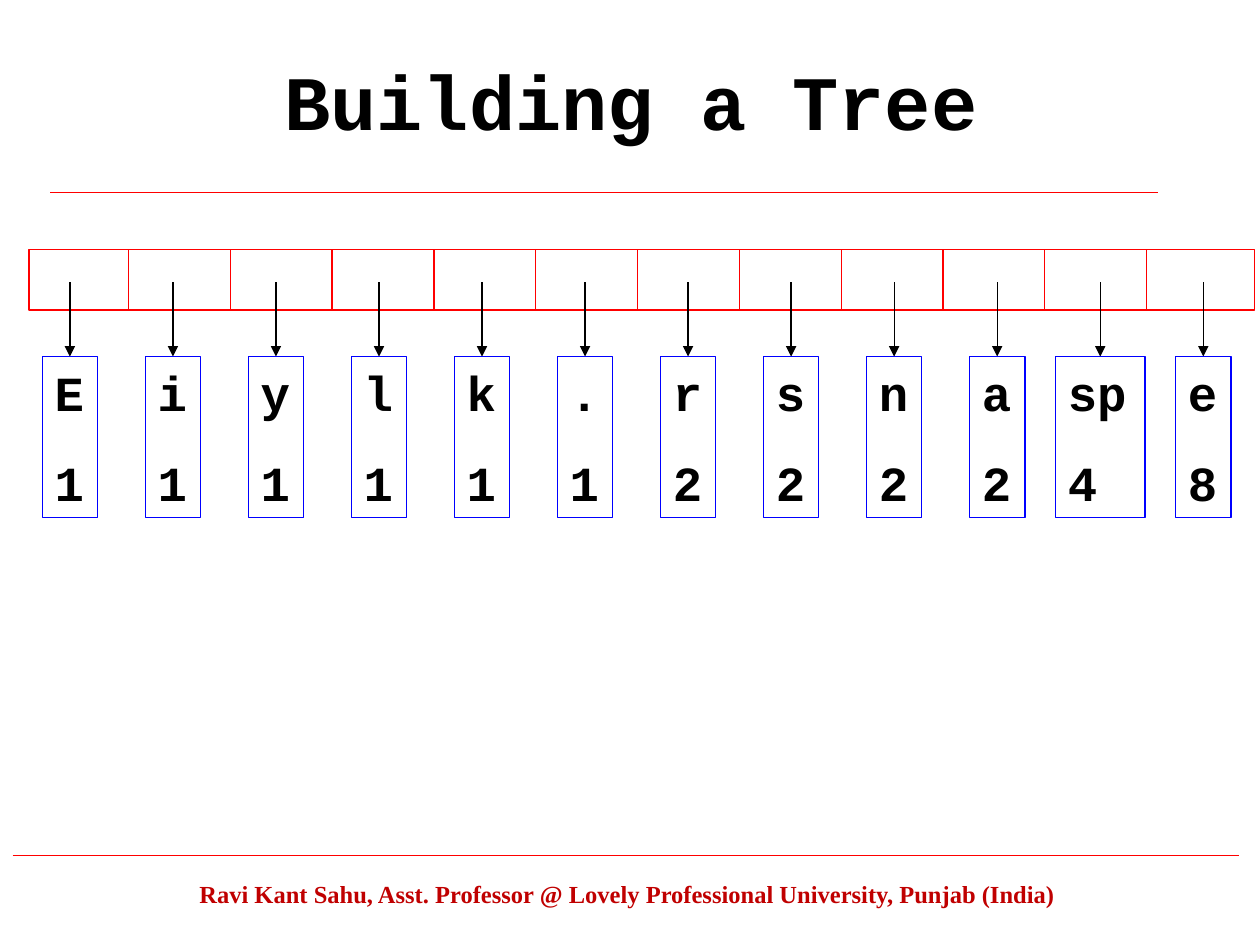
"""Build a slide showing a queue of leaf nodes ready for building a tree."""
from dataclasses import dataclass

from lxml import etree
from pptx import Presentation
from pptx import util as u
from pptx.dml.color import RGBColor
from pptx.enum import shapes, text
from pptx.oxml.ns import qn

COLORS = {"rule": "FF0000", "node": "0000FF", "ink": "000000",
          "paper": "FFFFFF", "footer": "C00000"}
COLUMNS, ROWS = 100, 75
CODE_FONT, FOOTER_FONT = "Courier New", "Times New Roman"
FIRST_NODE, LAST_NODE = 5.55, 95.5
FIRST_DIVIDER, LAST_DIVIDER = 10.2, 91
QUEUE_TOP, QUEUE_HEIGHT = 19.8, 4.8
ARROW_TOP, NODE_TOP, NODE_HEIGHT = 22.4, 28.3, 12.8

deck = Presentation()
deck.slide_width, deck.slide_height = u.Inches(10), u.Inches(7.5)
page = deck.slides.add_slide(deck.slide_layouts[5])


@dataclass(frozen=True)
class Area:
    left: float
    top: float
    width: float
    height: float

    def lengths(self) -> tuple[int, ...]:
        return (across(self.left), down(self.top),
                across(self.width), down(self.height))


@dataclass(frozen=True)
class Node:
    symbol: str
    count: int
    width: float = 4.4


NODES = [Node("E", 1), Node("i", 1), Node("y", 1), Node("l", 1),
         Node("k", 1), Node(".", 1), Node("r", 2), Node("s", 2),
         Node("n", 2), Node("a", 2), Node("sp", 4, 7.1), Node("e", 8)]


def across(columns: float) -> int:
    return round(deck.slide_width * columns / COLUMNS)


def down(rows: float) -> int:
    return round(deck.slide_height * rows / ROWS)


def spread(first: float, last: float, count: int) -> list[float]:
    return [first + (last - first) * i / (count - 1) for i in range(count)]


def write(box, lines: list[str], *, size: float, color: str,
          font: str = CODE_FONT, align=text.PP_ALIGN.LEFT,
          anchor=text.MSO_ANCHOR.TOP, gap: float = 0) -> None:
    frame = box.text_frame
    frame.word_wrap = True
    frame.auto_size = text.MSO_AUTO_SIZE.NONE
    frame.vertical_anchor = anchor
    for i, line in enumerate(lines):
        para = frame.add_paragraph() if i else frame.paragraphs[0]
        para.alignment = align
        para.space_before = u.Pt(gap if i else 0)
        span = para.add_run()
        span.text = line
        span.font.name, span.font.size, span.font.bold = font, u.Pt(size), True
        span.font.color.rgb = RGBColor.from_string(COLORS[color])


def draw_line(x1: float, y1: float, x2: float, y2: float,
              color: str = "rule", arrow: bool = False) -> None:
    line = page.shapes.add_connector(
        shapes.MSO_CONNECTOR.STRAIGHT,
        across(x1), down(y1), across(x2), down(y2))
    line.line.width = u.Pt(0.75)
    line.line.color.rgb = RGBColor.from_string(COLORS[color])
    if arrow:
        etree.SubElement(line.line._get_or_add_ln(), qn("a:tailEnd"), type="triangle")
    etree.SubElement(line._element.spPr, qn("a:effectLst"))


def draw_box(area: Area, color: str, fill: str | None = None):
    box = page.shapes.add_shape(shapes.MSO_SHAPE.RECTANGLE, *area.lengths())
    box.shadow.inherit = False
    box.line.width = u.Pt(0.75)
    box.line.color.rgb = RGBColor.from_string(COLORS[color])
    if fill:
        box.fill.solid()
        box.fill.fore_color.rgb = RGBColor.from_string(COLORS[fill])
    else:
        box.fill.background()
    return box


def draw_node(node: Node, center: float) -> None:
    area = Area(center - node.width / 2, NODE_TOP, node.width, NODE_HEIGHT)
    box = draw_box(area, "node")
    frame = box.text_frame
    frame.margin_left, frame.margin_right = across(1), across(0.5)
    frame.margin_top, frame.margin_bottom = down(0.5), 0
    write(box, [node.symbol, str(node.count)], size=28, color="ink", gap=17.5)


def main() -> None:
    draw_line(4, 15.3, 91.9, 15.3)
    draw_line(1, 67.9, 98.3, 67.9)

    title = page.shapes.title
    title.left, title.top, title.width, title.height = Area(
        7.6, 1.7, 85, 12.5).lengths()
    write(title, ["Building a Tree"], size=44, color="ink",
          align=text.PP_ALIGN.CENTER, anchor=text.MSO_ANCHOR.MIDDLE)

    draw_box(Area(2.3, QUEUE_TOP, 97.3, QUEUE_HEIGHT), "rule", "paper")
    for x in spread(FIRST_DIVIDER, LAST_DIVIDER, len(NODES) - 1):
        draw_line(x, QUEUE_TOP, x, QUEUE_TOP + QUEUE_HEIGHT)

    centers = spread(FIRST_NODE, LAST_NODE, len(NODES))
    for x in centers:
        draw_line(x, ARROW_TOP, x, NODE_TOP, "ink", arrow=True)
    for node, x in zip(NODES, centers):
        draw_node(node, x)

    footer = page.shapes.add_textbox(*Area(8.3, 69.3, 83, 4).lengths())
    write(footer, ["Ravi Kant Sahu, Asst. Professor @ Lovely Professional "
                   "University, Punjab (India)"], size=14, color="footer",
          font=FOOTER_FONT, align=text.PP_ALIGN.CENTER)
    deck.save("out.pptx")


if __name__ == "__main__":
    main()
